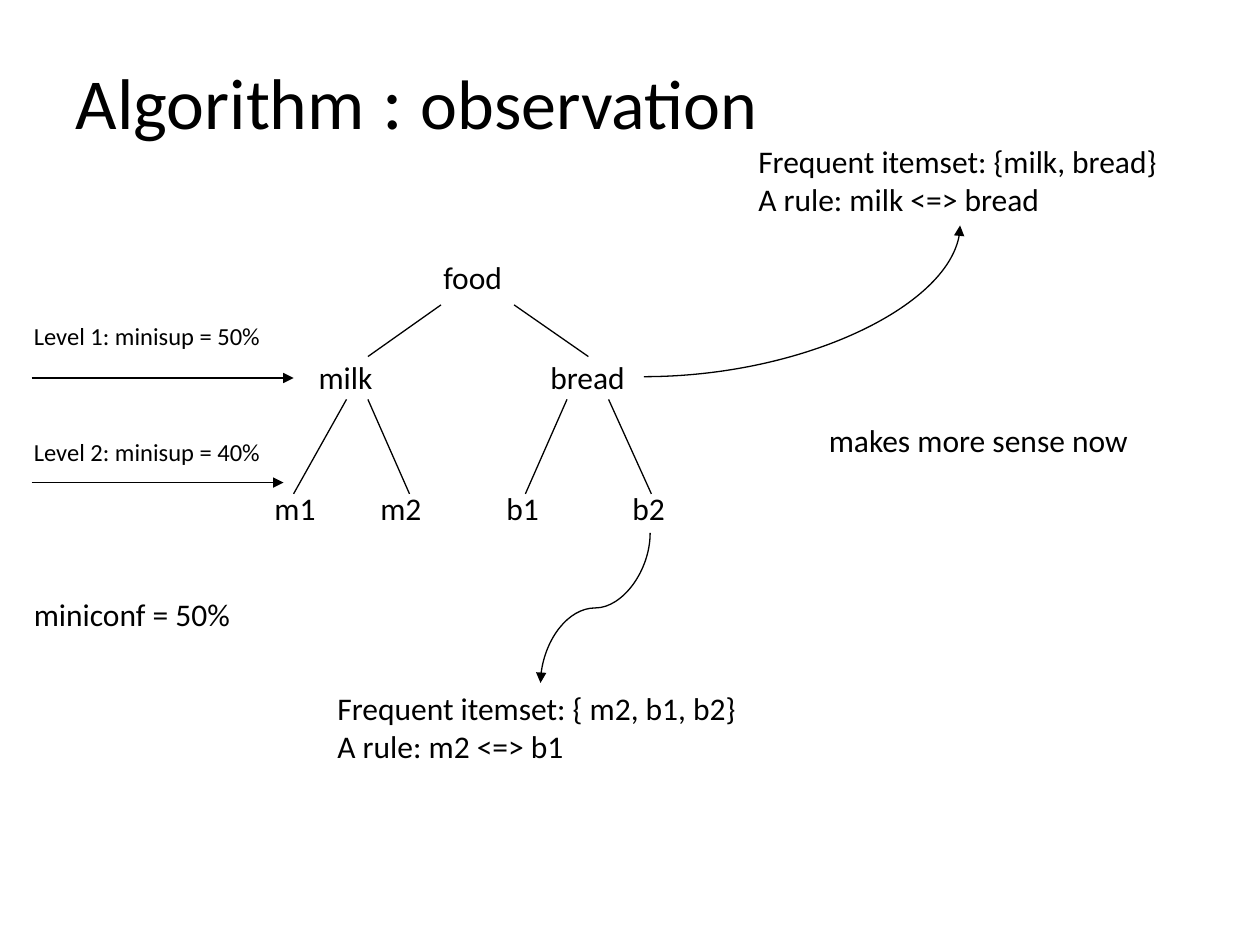
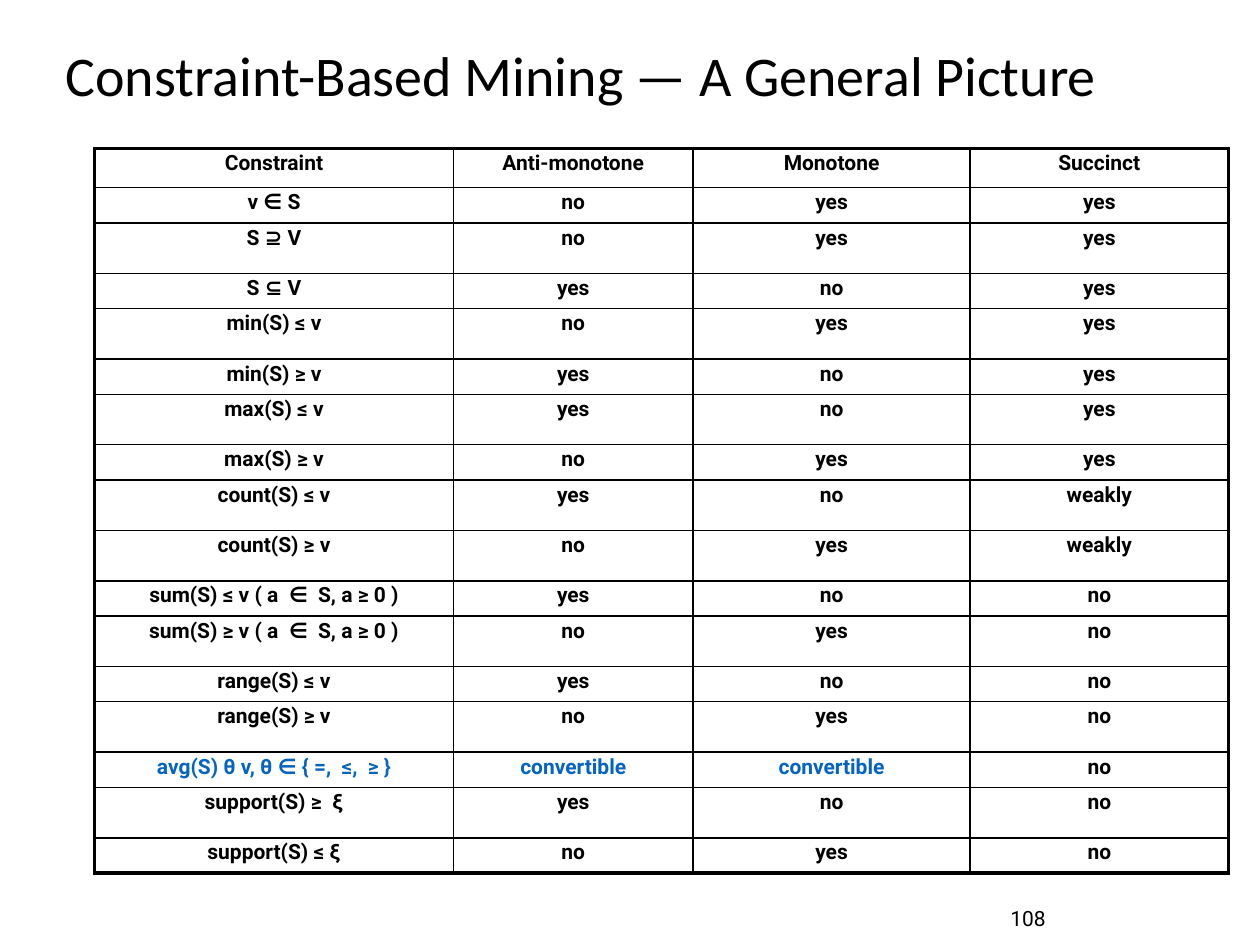
"""Build two slides: a multi-level itemset tree and a table of constraint properties."""
from pptx import Presentation
from pptx.dml.color import RGBColor
from pptx.enum.shapes import MSO_CONNECTOR
from pptx.enum.text import MSO_ANCHOR, MSO_AUTO_SIZE, PP_ALIGN
from pptx.oxml.ns import qn
from pptx.util import Inches, Pt
from lxml import etree

BLACK = RGBColor(0x00, 0x00, 0x00)
BLUE = RGBColor(0x05, 0x63, 0xC1)
BODY_FONT = "Calibri"
TABLE_FONT = "Roboto"
TITLE_ONLY = 5
THIN, THICK = 1, 2.25

NODES = [
    ("food", 3.42, 2, 0.69),
    ("milk", 2.43, 2.79, 0.65),
    ("bread", 4.27, 2.79, 0.84),
    ("m1", 2.08, 3.83, 0.55),
    ("m2", 2.92, 3.83, 0.55),
    ("b1", 3.92, 3.83, 0.48),
    ("b2", 4.92, 3.83, 0.48),
]
EDGES = [
    ((3.5, 2.42), (2.92, 2.83)),
    ((4.08, 2.42), (4.67, 2.83)),
    ((2.75, 3.17), (2.33, 3.92)),
    ((2.92, 3.17), (3.25, 3.92)),
    ((4.5, 3.17), (4.17, 3.92)),
    ((4.83, 3.17), (5.17, 3.92)),
]
LEVELS = [
    ("Level 1: minisup = 50%", 2.5, 3, 2.33),
    ("Level 2: minisup = 40%", 3.42, 3.83, 2.25),
]
NOTES = [
    ("miniconf = 50%", 0.17, 4.67, 1.92, 0.4),
    ("Frequent itemset: {milk, bread}\nA rule: milk <=> bread", 5.92, 1.08, 3.4, 0.71),
    ("Frequent itemset: { m2, b1, b2}\nA rule: m2 <=> b1", 2.58, 5.42, 3.4, 0.71),
    ("makes more sense now", 6.48, 3.29, 2.84, 0.4),
]
CONSTRAINTS = [
    ("Constraint", "Anti-monotone", "Monotone", "Succinct"),
    ("v ∈ S", "no", "yes", "yes"),
    ("S ⊇ V", "no", "yes", "yes"),
    ("S ⊆ V", "yes", "no", "yes"),
    ("min(S) ≤ v", "no", "yes", "yes"),
    ("min(S) ≥ v", "yes", "no", "yes"),
    ("max(S) ≤ v", "yes", "no", "yes"),
    ("max(S) ≥ v", "no", "yes", "yes"),
    ("count(S) ≤ v", "yes", "no", "weakly"),
    ("count(S) ≥ v", "no", "yes", "weakly"),
    ("sum(S) ≤ v ( a  ∈  S, a ≥ 0 )", "yes", "no", "no"),
    ("sum(S) ≥ v ( a  ∈  S, a ≥ 0 )", "no", "yes", "no"),
    ("range(S) ≤ v", "yes", "no", "no"),
    ("range(S) ≥ v", "no", "yes", "no"),
    ("avg(S) θ v, θ ∈ { =,  ≤,  ≥ }", "convertible", "convertible", "no"),
    ("support(S) ≥  ξ", "yes", "no", "no"),
    ("support(S) ≤ ξ", "no", "yes", "no"),
]
COLUMN_WIDTHS = [2.85, 1.9, 2.2, 2.05]
HEADER_HEIGHT, SHORT_ROW, TALL_ROW = 0.31, 0.28, 0.4
TALL_ROWS = {2, 4, 6, 8, 9, 11, 13, 15}


def write(frame, text, size=18, font=BODY_FONT, color=BLACK, bold=False,
          align=PP_ALIGN.LEFT, spacing=None):
    """Fill a frame with text, or with one line of (text, size) pieces."""
    lines = [[(line, size)] for line in text.split("\n")] if isinstance(text, str) else [text]
    for index, pieces in enumerate(lines):
        paragraph = frame.add_paragraph() if index else frame.paragraphs[0]
        paragraph.alignment = align
        paragraph.line_spacing = spacing
        for piece, piece_size in pieces:
            run = paragraph.add_run()
            run.text = piece
            run.font.size = Pt(piece_size)
            run.font.name = font
            run.font.color.rgb = color
            run.font.bold = bold


def set_border(cell, side, width):
    """Draw one black border of a cell."""
    line = etree.SubElement(cell._tc.get_or_add_tcPr(), qn(f"a:ln{side}"), w=str(Pt(width)))
    fill = etree.SubElement(line, qn("a:solidFill"))
    etree.SubElement(fill, qn("a:srgbClr"), val=str(BLACK))


class Deck:
    """Hold the presentation, its style and the current slide."""

    def __init__(self):
        """Start an empty 4:3 presentation."""
        self.presentation = Presentation()
        self.presentation.slide_width = Inches(10)
        self.presentation.slide_height = Inches(7.5)
        self.slide = None

    def start_slide(self, title, left, top, width, height, size=32):
        """Add a slide and place its title."""
        layout = self.presentation.slide_layouts[TITLE_ONLY]
        self.slide = self.presentation.slides.add_slide(layout)
        shape = self.slide.shapes.title
        shape.left, shape.top = Inches(left), Inches(top)
        shape.width, shape.height = Inches(width), Inches(height)
        shape.text_frame.auto_size = MSO_AUTO_SIZE.NONE
        shape.text_frame.vertical_anchor = MSO_ANCHOR.MIDDLE
        write(shape.text_frame, title, size=size, spacing=0.9)

    def label(self, text, left, top, width, height, anchor=MSO_ANCHOR.TOP, **style):
        """Add a text box that keeps its lines unwrapped."""
        box = self.slide.shapes.add_textbox(
            Inches(left), Inches(top), Inches(width), Inches(height))
        box.text_frame.word_wrap = False
        box.text_frame.vertical_anchor = anchor
        write(box.text_frame, text, **style)

    def line(self, start, end, arrow=False, kind=MSO_CONNECTOR.STRAIGHT):
        """Add a thin connector, with an arrowhead at its end on request."""
        connector = self.slide.shapes.add_connector(
            kind, *[Inches(value) for value in (*start, *end)])
        connector.line.color.rgb = BLACK
        connector.line.width = Pt(0.75)
        properties = connector._element.spPr
        if arrow:
            etree.SubElement(properties.find(qn("a:ln")), qn("a:tailEnd"), type="triangle")
        etree.SubElement(properties, qn("a:effectLst"))
        return properties

    def quarter_curve(self, start, end):
        """Add an arrow that leaves sideways and arrives vertically."""
        properties = self.line(start, end, arrow=True, kind=MSO_CONNECTOR.CURVE)
        properties.find(qn("a:prstGeom")).set("prst", "curvedConnector2")

    def falling_curve(self, start, end):
        """Add an S-shaped arrow that runs down and to the left."""
        center_x, center_y = (start[0] + end[0]) / 2, (start[1] + end[1]) / 2
        half_width, half_height = (end[1] - start[1]) / 2, (start[0] - end[0]) / 2
        properties = self.line(
            (center_x - half_width, center_y - half_height),
            (center_x + half_width, center_y + half_height),
            arrow=True, kind=MSO_CONNECTOR.CURVE)
        properties.find(qn("a:xfrm")).set("rot", str(90 * 60000))

    def table(self, rows, left, top, widths, heights):
        """Add a ruled table with a thick frame and blue convertible cells."""
        frame = self.slide.shapes.add_table(
            len(rows), len(widths), Inches(left), Inches(top),
            Inches(sum(widths)), Inches(sum(heights)))
        table = frame.table
        table.first_row = table.horz_banding = False
        for column, width in zip(table.columns, widths):
            column.width = Inches(width)
        for row, height in zip(table.rows, heights):
            row.height = Inches(height)
        last_row, last_column = len(rows) - 1, len(widths) - 1
        for r, values in enumerate(rows):
            for c, value in enumerate(values):
                cell = table.cell(r, c)
                blue = "convertible" in values and c < last_column
                write(cell.text_frame, value, size=12, font=TABLE_FONT, bold=True,
                      color=BLUE if blue else BLACK, align=PP_ALIGN.CENTER, spacing=0.8)
                outer = {"L": c == 0, "R": c == last_column, "T": r == 0, "B": r == last_row}
                for side, is_outer in outer.items():
                    set_border(cell, side, THICK if is_outer else THIN)
                cell.fill.background()


def build_observation(deck):
    """Draw the food tree with its support levels and rules."""
    deck.start_slide([("Algorithm", 41), (" : ", 44), ("observation", 40)], 0.5, 0.33, 9, 1)
    for text, left, top, width in NODES:
        deck.label(text, left, top, width, 0.4)
    for start, end in EDGES:
        deck.line(start, end)
    for text, top, arrow_y, arrow_end in LEVELS:
        deck.label(text, 0.17, top, 2.21, 0.33, size=14)
        deck.line((0.25, arrow_y), (arrow_end, arrow_y), arrow=True)
    for note in NOTES:
        deck.label(*note)
    deck.quarter_curve((5.11, 2.99), (7.62, 1.79))
    deck.falling_curve((5.16, 4.23), (4.29, 5.42))


def build_constraints(deck):
    """Draw the table of constraint properties."""
    deck.start_slide("Constraint-Based Mining — A General Picture", 0.42, 0.25, 9.42, 0.75)
    heights = [HEADER_HEIGHT] + [
        TALL_ROW if row in TALL_ROWS else SHORT_ROW for row in range(1, len(CONSTRAINTS))]
    deck.table(CONSTRAINTS, 0.75, 1.18, COLUMN_WIDTHS, heights)
    deck.label("108", 7.92, 7.08, 2.08, 0.42, anchor=MSO_ANCHOR.MIDDLE,
               size=12, font=TABLE_FONT)


def main():
    """Build and save both slides."""
    deck = Deck()
    build_observation(deck)
    build_constraints(deck)
    deck.presentation.save("out.pptx")


if __name__ == "__main__":
    main()
